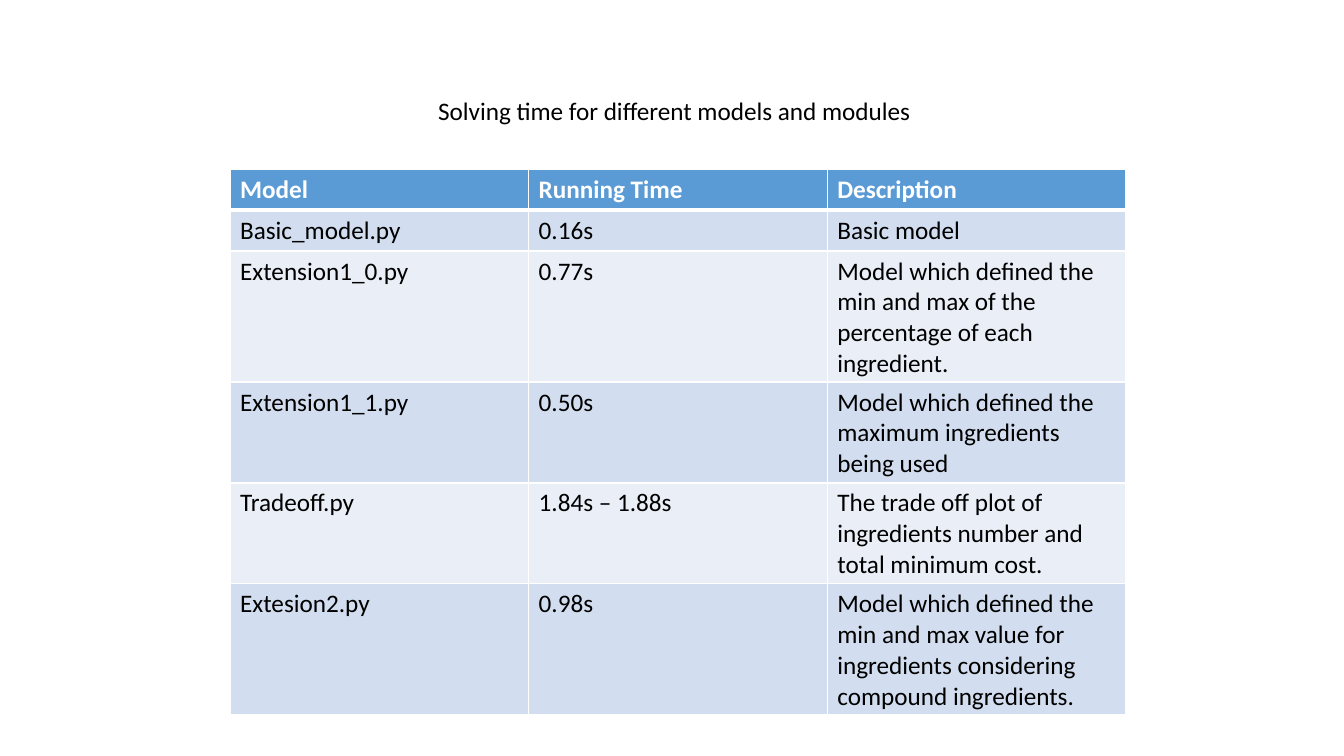
"""Build a slide tabulating the solving time of each model."""
from lxml.etree import SubElement
from pptx import Presentation
from pptx.dml.color import RGBColor
from pptx.enum.text import MSO_ANCHOR, MSO_AUTO_SIZE as AUTO_SIZE, PP_ALIGN
from pptx.oxml.ns import qn
from pptx.util import Pt

CAPTION = "Solving time for different models and modules"
HEADINGS = ("Model", "Running Time", "Description")
MODELS = [
    ("Basic_model.py", "0.16s", "Basic model"),
    ("Extension1_0.py", "0.77s",
     "Model which defined the min and max of the percentage of each ingredient."),
    ("Extension1_1.py", "0.50s",
     "Model which defined the maximum ingredients being used"),
    ("Tradeoff.py", "1.84s – 1.88s",
     "The trade off plot of ingredients number and total minimum cost."),
    ("Extesion2.py", "0.98s",
     "Model which defined the min and max value for ingredients "
     "considering compound ingredients."),
]
HEADING_FILL, BANDS = "5B9BD5", ("D2DEEF", "EAEFF7")
WHITE, BLACK = "FFFFFF", "000000"
SLIDE_SIZE = (1344, 756)
CAPTION_BOX = (428, 90, 499, 40)
TABLE_BOX = (230, 169, 896, 545)
ROW_HEIGHT = 41
CAPTION_FORMAT = {"word_wrap": False, "auto_size": AUTO_SIZE.SHAPE_TO_FIT_TEXT,
                  "vertical_anchor": MSO_ANCHOR.TOP}
FONT_FORMAT = {"name": "Calibri", "size": Pt(18)}


def px(length):
    return round(length * 914400 / 100.8)


def color(code):
    return RGBColor.from_string(code)


def apply(target, values):
    for key, value in values.items():
        setattr(target, key, value)


def write(frame, words, ink, bold):
    frame.text = words
    paragraph = frame.paragraphs[0]
    paragraph.alignment = PP_ALIGN.LEFT
    font = paragraph.runs[0].font
    apply(font, {**FONT_FORMAT, "bold": bold})
    font.color.rgb = color(ink)


def fill_cell(cell, words, ink, bold, back, borders):
    write(cell.text_frame, words, ink, bold)
    properties = cell._tc.get_or_add_tcPr()
    for side, points in borders.items():
        border = SubElement(properties, qn(f"a:{side}"), w=str(Pt(points)))
        paint = SubElement(border, qn("a:solidFill"))
        SubElement(paint, qn("a:srgbClr"), val=WHITE)
    cell.fill.solid()
    cell.fill.fore_color.rgb = color(back)


deck = Presentation()
deck.slide_width, deck.slide_height = map(px, SLIDE_SIZE)
slide = deck.slides.add_slide(deck.slide_layouts[5])

caption = slide.shapes.title
apply(caption, dict(zip(("left", "top", "width", "height"), map(px, CAPTION_BOX))))
apply(caption.text_frame, CAPTION_FORMAT)
write(caption.text_frame, CAPTION, BLACK, False)

rows = [HEADINGS, *MODELS]
timings = slide.shapes.add_table(len(rows), len(HEADINGS), *map(px, TABLE_BOX))
for r, row in enumerate(rows):
    timings.table.rows[r].height = px(ROW_HEIGHT)
    ink, bold, back = (BLACK, False, BANDS[(r - 1) % 2]) if r else (WHITE, True, HEADING_FILL)
    borders = {"lnL": 1, "lnR": 1, "lnT": 3 if r == 1 else 1, "lnB": 1 if r else 3}
    for c, words in enumerate(row):
        fill_cell(timings.table.cell(r, c), words, ink, bold, back, borders)
timings.height = px(TABLE_BOX[3])

deck.save("out.pptx")
